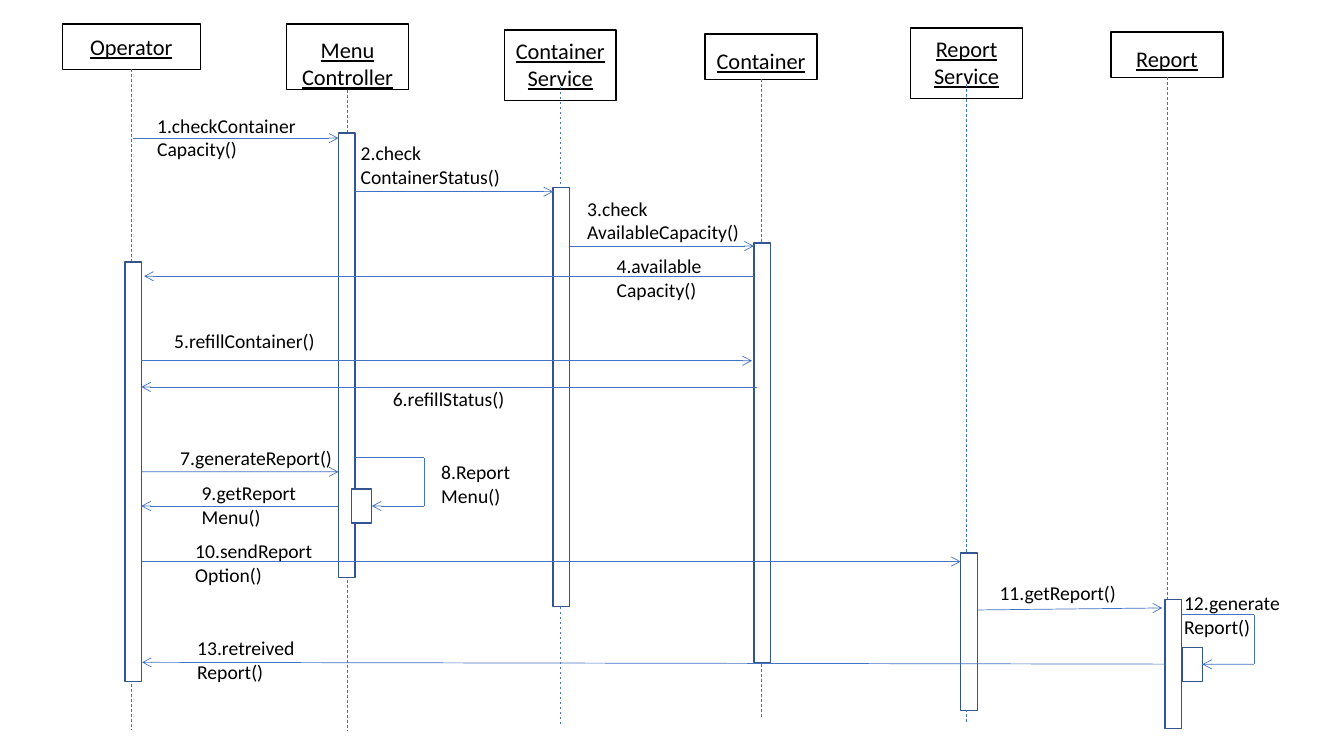
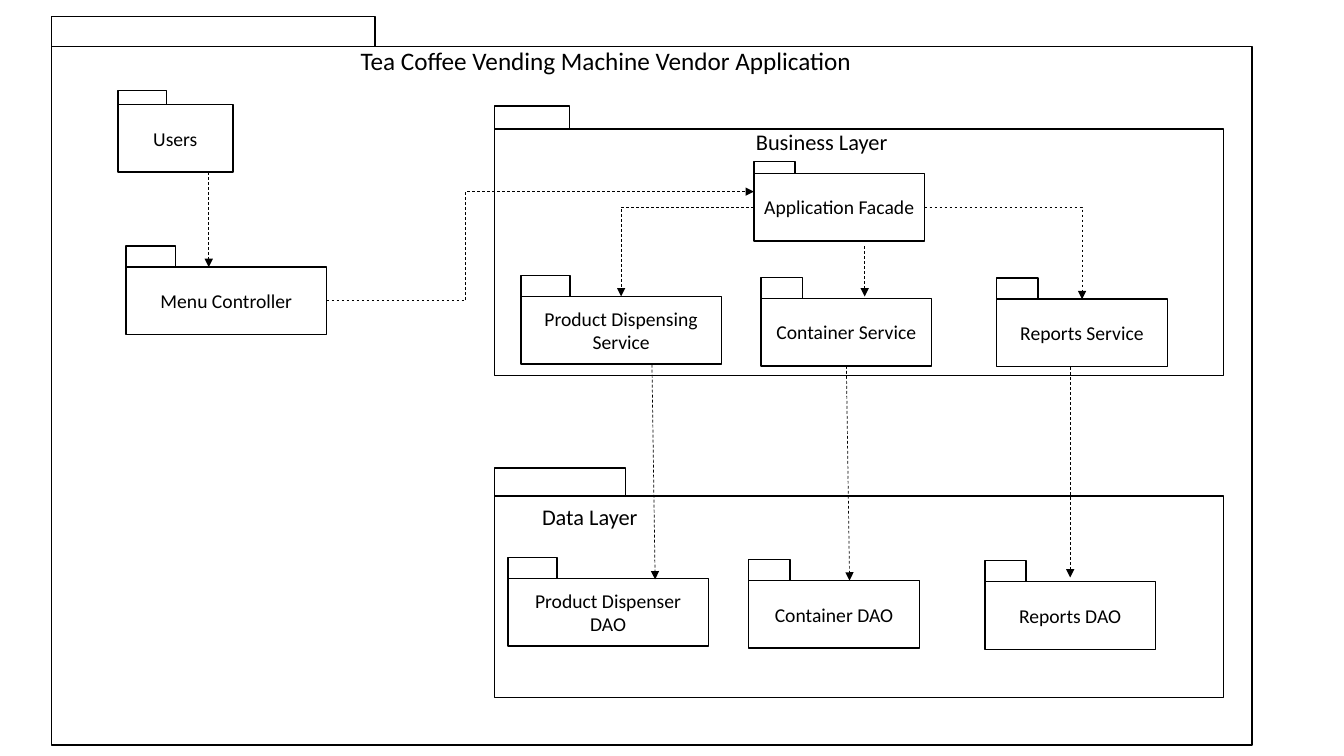
import pptx
import pptx.dml.color
import pptx.enum.dml
import pptx.enum.shapes
import pptx.enum.text
import pptx.oxml.ns
import pptx.util
from lxml import etree

Cm = pptx.util.Cm
Pt = pptx.util.Pt
qn = pptx.oxml.ns.qn
RGB = pptx.dml.color.RGBColor.from_string
ALIGN = pptx.enum.text.PP_ALIGN
ANCHOR = pptx.enum.text.MSO_ANCHOR
SHAPE = pptx.enum.shapes.MSO_SHAPE
CONNECTOR = pptx.enum.shapes.MSO_CONNECTOR

COLORS = {"ink": "000000", "paper": "FFFFFF", "message": "4472C4", "bar": "325491"}
FONT = "Calibri"


def format_box(box, text="", fill=None, outline=None, size=14, align=ALIGN.LEFT,
               anchor=ANCHOR.TOP, top=0.13, side=0.25, underline=False):
    """Style a shape, text box or placeholder and write one paragraph per line."""
    if fill:
        box.fill.solid()
        box.fill.fore_color.rgb = RGB(COLORS[fill])
    else:
        box.fill.background()
    if outline:
        box.shadow.inherit = False
        box.line.color.rgb = RGB(COLORS[outline])
        box.line.width = Pt(1)
    if not text:
        return
    frame = box.text_frame
    frame.word_wrap = True
    frame.auto_size = pptx.enum.text.MSO_AUTO_SIZE.NONE
    frame.vertical_anchor = anchor
    frame.margin_left = frame.margin_right = Cm(side)
    frame.margin_top = Cm(top)
    frame.margin_bottom = 0
    for index, line in enumerate(text.split("\n")):
        para = frame.add_paragraph() if index else frame.paragraphs[0]
        para.alignment = align
        span = para.add_run()
        span.text = line
        span.font.name = FONT
        span.font.size = Pt(size)
        span.font.underline = underline
        span.font.color.rgb = RGB(COLORS["ink"])


def draw_line(page, start, end, color, dash=False, arrow=None, bend=None, adjust=None):
    """Draw a connector; each end is a point (x, y) in cm or a joint (shape, site)."""
    joined = [not isinstance(place[0], (int, float)) for place in (start, end)]
    points = [(0, 0) if glued else place for glued, place in zip(joined, (start, end))]
    kind = CONNECTOR.ELBOW if bend else CONNECTOR.STRAIGHT
    line = page.shapes.add_connector(kind, *[Cm(value) for point in points for value in point])
    if joined[0]:
        line.begin_connect(*start)
    if joined[1]:
        line.end_connect(*end)
    line.line.color.rgb = RGB(COLORS[color])
    line.line.width = Pt(0.5)
    if dash:
        line.line.dash_style = pptx.enum.dml.MSO_LINE.DASH
    properties = line.element.spPr
    if arrow:
        etree.SubElement(properties.find(qn("a:ln")), qn("a:tailEnd"), type=arrow)
    if bend:
        geometry = properties.find(qn("a:prstGeom"))
        geometry.set("prst", bend)
        if adjust:
            etree.SubElement(geometry.find(qn("a:avLst")), qn("a:gd"),
                             name="adj1", fmla=f"val {adjust}")
    etree.SubElement(properties, qn("a:effectLst"))


deck = pptx.Presentation()
deck.slide_width = Cm(33.87)
deck.slide_height = Cm(19.05)

# Sequence diagram
page = deck.slides.add_slide(deck.slide_layouts[6])

# name, lifeline x, top, width, height, text inset, lifeline start (None: header edge), lifeline end
participants = [
    ("Operator", 3.31, 0.61, 3.48, 1.14, 0.23, None, 18.39),
    ("Menu\nController", 8.76, 0.61, 3.07, 1.65, 0.3, None, 18.39),
    ("Container\nService", 14.12, 0.76, 2.82, 1.78, 0.18, 2.18, 18.24),
    ("Container", 19.18, 0.86, 2.82, 1.14, 0.33, None, 18.11),
    ("Report\nService", 24.36, 0.71, 2.82, 1.78, 0.18, 2.11, 18.19),
    ("Report", 29.41, 0.81, 2.82, 1.14, 0.33, None, 18.03),
]
for name, x, top, width, height, inset, life_start, life_end in participants:
    header = page.shapes.add_shape(SHAPE.RECTANGLE, Cm(x - width / 2), Cm(top), Cm(width), Cm(height))
    format_box(header, name, outline="ink", size=16, align=ALIGN.CENTER, top=inset, side=0,
               underline=True)
    life_top = (x, life_start) if life_start else (header, 2)
    draw_line(page, life_top, (x, life_end), "message", dash=True)

# left, top, height
activations = [
    (3.15, 6.6, 10.57), (8.53, 3.35, 11.2), (13.94, 4.72, 10.57),
    (19, 6.12, 10.57), (24.21, 13.94, 3.96), (29.36, 15.11, 3.25),
]
bars = []
for left, top, height in activations:
    bar = page.shapes.add_shape(SHAPE.RECTANGLE, Cm(left), Cm(top), Cm(0.42), Cm(height))
    format_box(bar, fill="paper", outline="bar")
    bars.append(bar)
operator_bar, report_bar = bars[0], bars[-1]

# start, end
messages = [
    ((3.35, 3.48), (8.53, 3.48)),
    ((8.95, 4.83), (13.94, 4.83)),
    ((14.36, 6.2), (19, 6.2)),
    ((19, 6.96), (3.63, 6.96)),
    ((3.56, 9.09), (18.95, 9.09)),
    ((19.08, 9.75), (3.56, 9.75)),
    ((operator_bar, 3), (8.53, 11.89)),
    ((8.53, 12.75), (3.56, 12.75)),
    ((3.58, 14.15), (24.21, 14.15)),
    ((24.63, 15.37), (29.29, 15.32)),
    ((report_bar, 1), (3.58, 16.69)),
]
for start, end in messages:
    draw_line(page, start, end, "message", arrow="arrow")

# box left, box top, call x, call y, corner x
self_calls = [(8.86, 12.32, 8.95, 11.53, 10.69), (29.79, 16.31, 29.79, 15.49, 31.6)]
for left, top, call_x, call_y, corner_x in self_calls:
    nested_bar = page.shapes.add_shape(SHAPE.RECTANGLE, Cm(left), Cm(top), Cm(0.51), Cm(0.86))
    format_box(nested_bar, fill="paper", outline="bar")
    corner, turn = (corner_x, call_y), (corner_x, top + 0.43)
    draw_line(page, (call_x, call_y), corner, "message")
    draw_line(page, corner, turn, "message")
    draw_line(page, turn, (nested_bar, 3), "message", arrow="arrow")

labels = [
    ("1.checkContainer\nCapacity()", 3.71, 2.74),
    ("2.check\nContainerStatus()", 8.84, 3.43),
    ("3.check\nAvailableCapacity()", 14.55, 4.83),
    ("4.available\nCapacity()", 15.29, 6.27),
    ("5.refillContainer()", 4.14, 8.15),
    ("6.refillStatus()", 9.65, 9.63),
    ("7.generateReport()", 4.29, 11.1),
    ("8.Report\nMenu()", 10.87, 11.46),
    ("9.getReport\nMenu()", 4.83, 11.99),
    ("10.sendReport\nOption()", 4.67, 13.46),
    ("11.getReport()", 24.94, 14.5),
    ("12.generate\nReport()", 29.59, 14.76),
    ("13.retreived\nReport()", 4.72, 15.9),
]
for text, left, top in labels:
    lines = text.split("\n")
    width = 0.25 * max(map(len, lines)) + 0.55
    label = page.shapes.add_textbox(Cm(left), Cm(top), Cm(width), Cm(0.27 + 0.6 * len(lines)))
    format_box(label, text)

# Package diagram
page = deck.slides.add_slide(deck.slide_layouts[5])
title = page.shapes.title
title.left, title.top, title.width, title.height = Cm(8.84), Cm(1.02), Cm(13.3), Cm(1.02)
format_box(title, "Tea Coffee Vending Machine Vendor Application", size=18)

# name, fill, left, top, width, height, tab width, tab height
packages = [
    ("application", None, 1.3, 1.17, 30.25, 17.6, 8.15, 0.76),
    ("business", "paper", 12.47, 3.25, 18.36, 6.22, 1.88, 0.58),
    ("data", "paper", 12.47, 12.5, 18.36, 5.08, 3.3, 0.71),
    ("Product Dispensing Service", "paper", 13.13, 7.47, 5.05, 1.7, 1.24, 0.53),
    ("Container Service", "paper", 19.18, 7.52, 4.3, 1.7, 1.04, 0.53),
    ("Reports Service", "paper", 25.12, 7.54, 4.3, 1.7, 1.04, 0.53),
    ("Application Facade", "paper", 19, 4.37, 4.3, 1.7, 1.04, 0.3),
    ("Product Dispenser DAO", "paper", 12.8, 14.58, 5.05, 1.7, 1.24, 0.53),
    ("Container DAO", "paper", 18.87, 14.63, 4.3, 1.7, 1.04, 0.53),
    ("Reports DAO", "paper", 24.82, 14.66, 4.3, 1.7, 1.04, 0.53),
    ("Menu Controller", "paper", 3.18, 6.73, 5.05, 1.7, 1.24, 0.53),
    ("Users", "paper", 2.97, 2.64, 2.9, 1.7, 1.22, 0.36),
]
bodies = {}
for name, fill, left, top, width, height, tab_width, tab_height in packages:
    body = page.shapes.add_shape(SHAPE.FLOWCHART_PROCESS, Cm(left), Cm(top), Cm(width), Cm(height))
    text = "" if name.islower() else name
    format_box(body, text, fill=fill, outline="ink", align=ALIGN.CENTER, anchor=ANCHOR.MIDDLE, top=0)
    tab = page.shapes.add_shape(SHAPE.FLOWCHART_PROCESS, Cm(left), Cm(top - tab_height),
                                Cm(tab_width), Cm(tab_height))
    format_box(tab, fill=fill, outline="ink")
    bodies[name] = body

for text, left, top in [("Business Layer", 18.8, 3.1), ("Data Layer", 13.41, 12.55)]:
    label = page.shapes.add_textbox(Cm(left), Cm(top), Cm(7.65), Cm(0.94))
    format_box(label, text, size=16)

facade = bodies["Application Facade"]
# start, end, bend, bend position
dependencies = [
    ((5.26, 4.34), (5.26, 6.73), None, None),
    ((bodies["Menu Controller"], 3), (19, 4.83), "bentConnector3", 32600),
    ((facade, 1), (bodies["Product Dispensing Service"], 0), "bentConnector2", None),
    ((facade, 3), (bodies["Reports Service"], 0), "bentConnector2", None),
    ((21.79, 6.2), (21.79, 7.47), None, None),
    ((16.43, 9.19), (16.51, 14.6), None, None),
    ((bodies["Container Service"], 2), (21.41, 14.63), None, None),
    ((26.97, 9.25), (26.97, 14.55), None, None),
]
for start, end, bend, adjust in dependencies:
    draw_line(page, start, end, "ink", dash=True, arrow="triangle", bend=bend, adjust=adjust)

deck.save("out.pptx")
